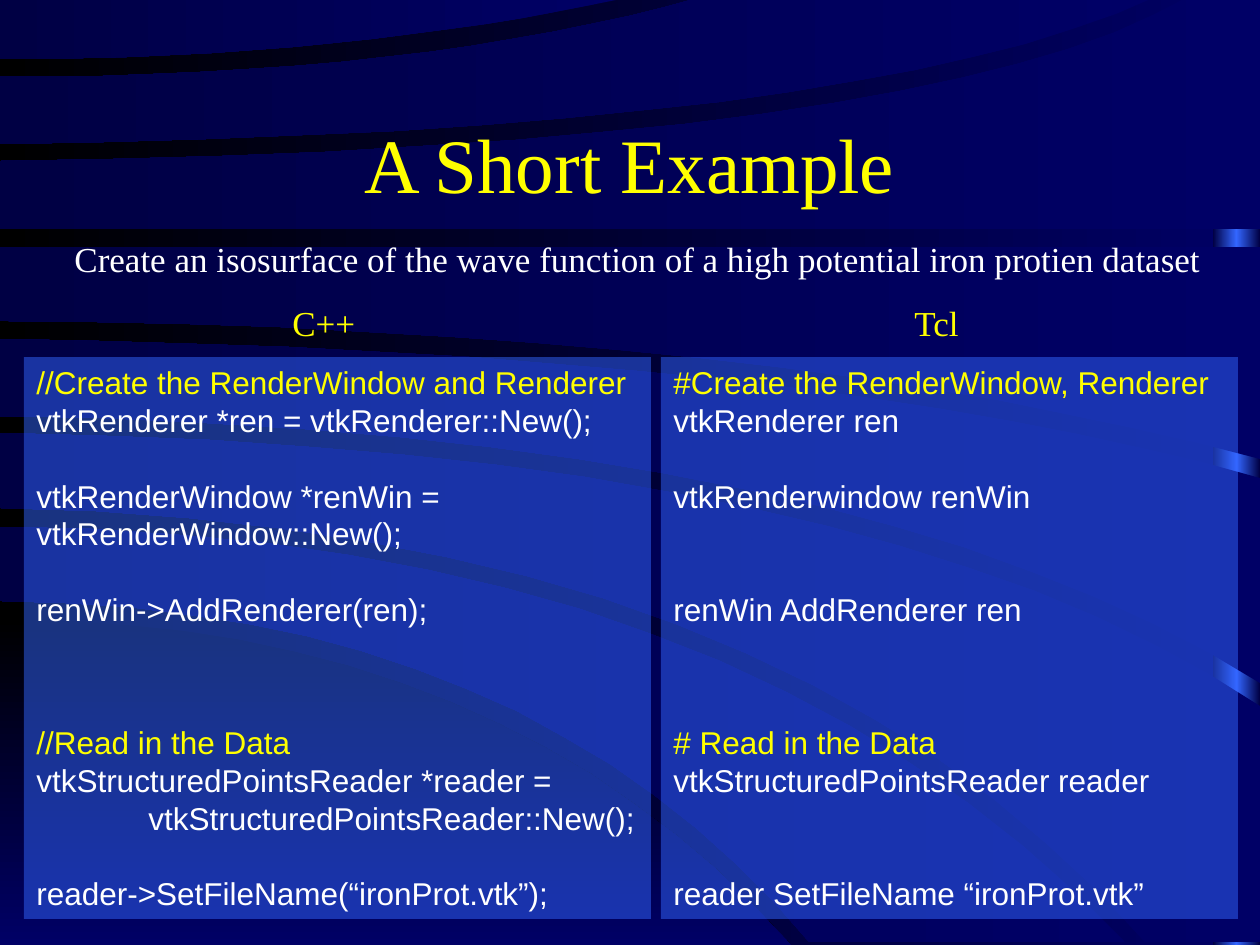
from copy import deepcopy
from dataclasses import dataclass

from lxml import etree
from pptx import Presentation
from pptx.dml.color import RGBColor
from pptx.enum.shapes import MSO_SHAPE
from pptx.enum.text import MSO_ANCHOR, PP_ALIGN
from pptx.oxml.ns import qn
from pptx.util import Pt

RECTANGLE = MSO_SHAPE.RECTANGLE
CENTER, LEFT = PP_ALIGN.CENTER, PP_ALIGN.LEFT
TOP, MIDDLE = MSO_ANCHOR.TOP, MSO_ANCHOR.MIDDLE

SCALE = 914400 / 126  # EMU in one px
WIDTH, HEIGHT = 1260, 945
TITLE_ONLY = 5
CURVE_STEPS = 16


@dataclass(frozen=True)
class Theme:
    navy: str = "000066"
    deep: str = "000044"
    black: str = "000000"
    blue: str = "3366FF"
    yellow: str = "FFFF00"
    white: str = "FFFFFF"
    serif: str = "Times New Roman"
    sans: str = "Arial"
    title_size: int = 44
    label_size: int = 20
    code_size: int = 18
    code_line: float = 21.6
    section_gap: float = 11.2


THEME = Theme()


def px(length):
    return round(length * SCALE)


def curve(start_y, control, end):
    """Points of a quadratic curve from the left side of the slide to end."""
    points = []
    for step in range(CURVE_STEPS + 1):
        t = step / CURVE_STEPS
        x, y = (round((1 - t) ** 2 * a + 2 * t * (1 - t) * b + t ** 2 * c)
                for a, b, c in zip((0, start_y), control, end))
        points.append((x, y))
    return points


def level(y):
    return [(0, y), (WIDTH, y)]


ARC = curve(619, (505, 622), (791, HEIGHT)) + [(0, HEIGHT)]

# Upper edge, corners at the right, lower edge; from back to front.
BANDS = [
    (curve(527, (740, 533), (1125, 942)), [], curve(601, (530, 606), (809, 942))),
    (curve(433, (870, 446), (WIDTH, 706)), [(WIDTH, 942)],
     curve(508, (780, 523), (1145, 942))),
    (curve(339, (804, 350), (WIDTH, 478)), [], curve(416, (857, 428), (WIDTH, 683))),
    (level(247), [], curve(321, (770, 326), (WIDTH, 459))),
    (curve(161, (930, 149), (1188, -3)), [(WIDTH, -3)], level(229)),
    (curve(77, (420, 77), (701, -3)), [], curve(144, (860, 133), (1155, -3))),
    ([(0, -3)], [], curve(59, (350, 58), (631, -3))),
]

# Code sections: (line, empty lines above it, indent in px); the first is a comment.
CPP_CODE = [
    [("//Create the RenderWindow and Renderer", 0, 0),
     ("vtkRenderer *ren = vtkRenderer::New();", 0, 0),
     ("vtkRenderWindow *renWin =", 1, 0),
     ("vtkRenderWindow::New();", 0, 0),
     ("renWin->AddRenderer(ren);", 1, 0)],
    [("//Read in the Data", 2, 0),
     ("vtkStructuredPointsReader *reader =", 0, 0),
     ("vtkStructuredPointsReader::New();", 0, 112),
     ("reader->SetFileName(“ironProt.vtk”);", 1, 0)],
]
TCL_CODE = [
    [("#Create the RenderWindow, Renderer", 0, 0),
     ("vtkRenderer ren", 0, 0),
     ("vtkRenderwindow renWin", 1, 0),
     ("renWin AddRenderer ren", 2, 0)],
    [("# Read in the Data", 2, 0),
     ("vtkStructuredPointsReader reader", 0, 0),
     ("reader SetFileName “ironProt.vtk”", 2, 0)],
]


def style_font(font, name, size, colour):
    font.name, font.size = name, Pt(size)
    font.color.rgb = RGBColor.from_string(colour)


def set_gradient(fill, start, end, angle=180):
    fill.gradient()
    fill.gradient_angle = angle
    for stop, colour, position in zip(fill.gradient_stops, (start, end), (0, 1)):
        stop.color.rgb = RGBColor.from_string(colour)
        stop.position = position


def add_band(slide, outline, start, end, angle=180):
    builder = slide.shapes.build_freeform(*outline[0], scale=SCALE)
    builder.add_line_segments(outline[1:], close=True)
    band = builder.convert_to_shape()
    band.shadow.inherit = False
    band.line.fill.background()
    set_gradient(band.fill, start, end, angle)


def add_box(slide, left, top, width, height):
    box = slide.shapes.add_shape(RECTANGLE, px(left), px(top), px(width), px(height))
    box.shadow.inherit = False
    box.line.fill.background()
    return box


def add_glowing_edge(slide):
    """Right-hand strip that is bright in the middle and dark at both sides."""
    edge = add_box(slide, 1213, 0, 47, HEIGHT)
    set_gradient(edge.fill, THEME.deep, THEME.deep)
    first_stop = edge._element.spPr.find(".//" + qn("a:gs"))
    first_stop.addnext(deepcopy(first_stop))
    middle = edge.fill.gradient_stops[1]
    middle.position = 0.5
    middle.color.rgb = RGBColor.from_string(THEME.blue)


def add_code_panel(slide, left, width, sections):
    panel = add_box(slide, left, 357, width, 562)
    panel.fill.solid()
    panel.fill.fore_color.rgb = RGBColor.from_string(THEME.blue)
    tint = panel._element.spPr.find(qn("a:solidFill"))[0]
    etree.SubElement(tint, qn("a:alpha"), val="50000")
    frame = panel.text_frame
    frame.word_wrap = True
    frame.vertical_anchor = TOP
    line = frame.paragraphs[0]
    for section_number, section in enumerate(sections):
        for line_number, (code, gap, indent) in enumerate(section):
            if section_number or line_number:
                line = frame.add_paragraph()
            line.text = code
            line.alignment = LEFT
            line.line_spacing = Pt(THEME.code_line)
            section_gap = 0 if line_number else section_number * THEME.section_gap
            line.space_before = Pt(gap * THEME.code_line + section_gap)
            if indent:
                line._p.get_or_add_pPr().set("marL", str(px(indent)))
            colour = THEME.white if line_number else THEME.yellow
            style_font(line.font, THEME.sans, THEME.code_size, colour)


def add_label(slide, text, left, top, width, colour):
    label = slide.shapes.add_textbox(px(left), px(top), px(width), px(55))
    label.text_frame.word_wrap = False
    caption = label.text_frame.paragraphs[0]
    caption.text = text
    style_font(caption.font, THEME.serif, THEME.label_size, colour)


def place_title(slide, text):
    title = slide.shapes.title
    title.left, title.top, title.width, title.height = map(px, (94, 84, 1071, 158))
    title.text_frame.vertical_anchor = MIDDLE
    heading = title.text_frame.paragraphs[0]
    heading.text = text
    heading.alignment = CENTER
    style_font(heading.font, THEME.serif, THEME.title_size, THEME.yellow)
    slide.shapes._spTree.append(title._element)  # in front of the bands


def main():
    deck = Presentation()
    deck.slide_width, deck.slide_height = px(WIDTH), px(HEIGHT)
    slide = deck.slides.add_slide(deck.slide_layouts[TITLE_ONLY])
    set_gradient(slide.background.fill, THEME.navy, THEME.black)
    add_glowing_edge(slide)
    add_band(slide, ARC, THEME.black, THEME.navy, 270)
    for upper, corners, lower in BANDS:
        add_band(slide, upper + corners + lower[::-1], THEME.navy, THEME.deep)
    place_title(slide, "A Short Example")
    add_code_panel(slide, 24, 627, CPP_CODE)
    add_code_panel(slide, 661, 577, TCL_CODE)
    add_label(slide, "C++", 280, 295, 88, THEME.yellow)
    add_label(slide, "Tcl", 902, 295, 72, THEME.yellow)
    add_label(slide, "Create an isosurface of the wave function of a high potential "
              "iron protien dataset", 62, 231, 1152, THEME.white)
    deck.save("out.pptx")


if __name__ == "__main__":
    main()
